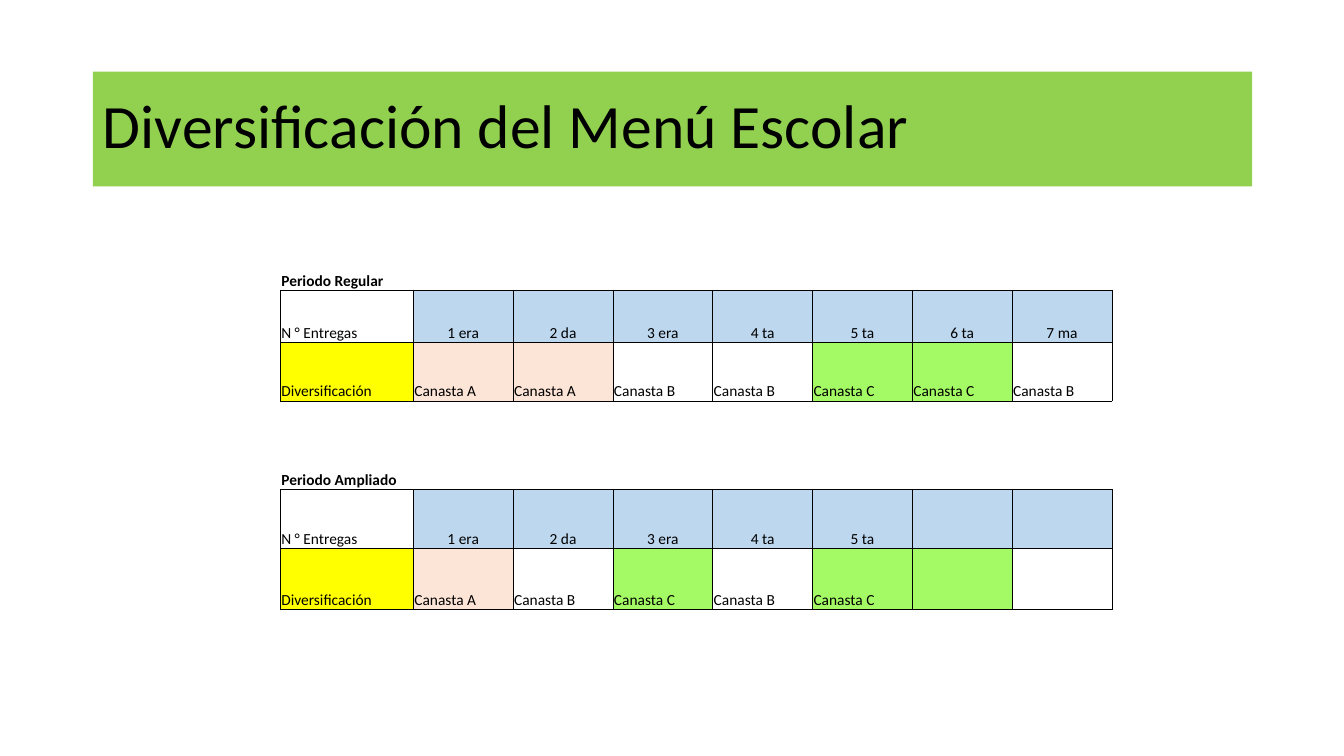
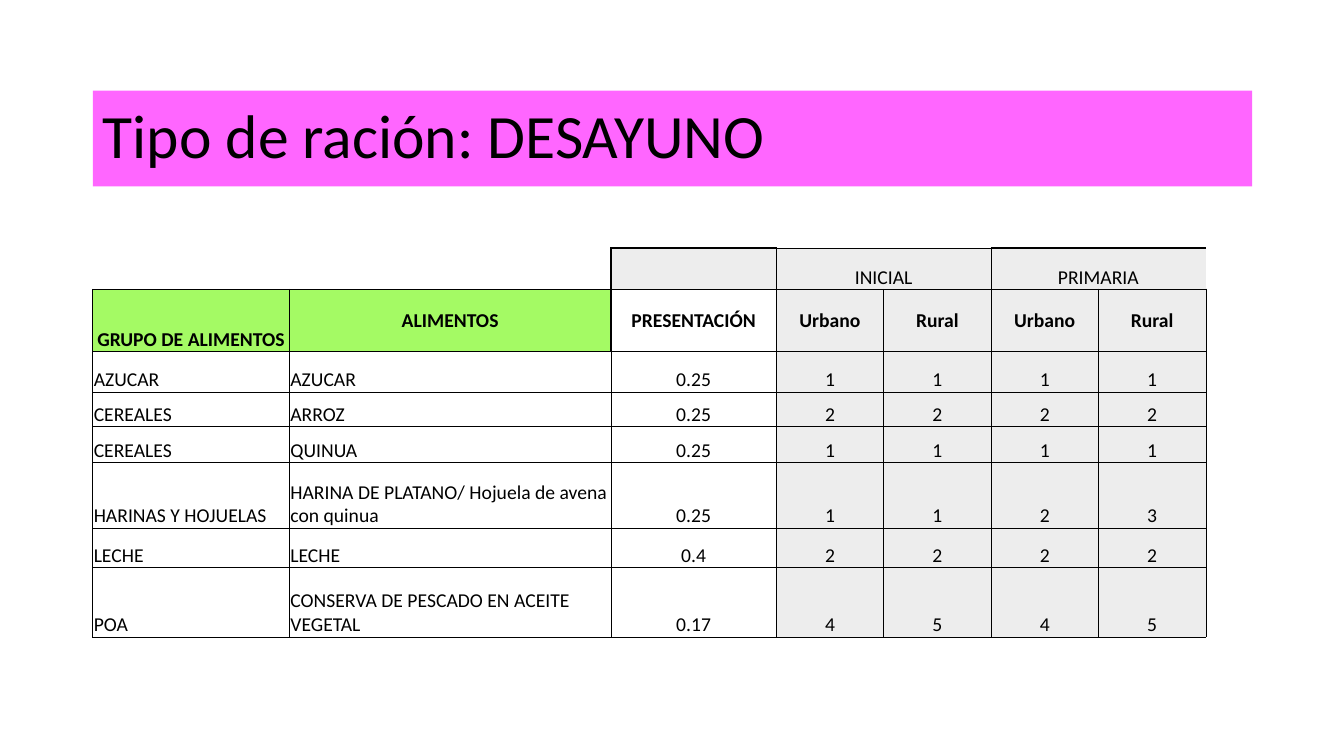
import pptx
import pptx.util
import pptx.dml.color
import pptx.enum.text
import lxml.etree

Inches, Pt = pptx.util.Inches, pptx.util.Pt
ALIGN = pptx.enum.text.PP_ALIGN
ANCHOR = pptx.enum.text.MSO_ANCHOR

COLOR = {
    "ink": "000000",
    "leaf": "92D050",
    "pink": "FF66FF",
    "sky": "BDD7EE",
    "sun": "FFFF00",
    "peach": "FCE4D6",
    "lime": "A4FA64",
    "gray": "EDEDED",
    "white": "FFFFFF",
}
FONT = "Calibri"
WIDE, HIGH = 13.33, 7.5
LEFT, SPAN, BASE = 0.92, 11.5, 1.85
BASKET = {"A": "peach", "B": None, "C": "lime"}
SIDES = {"L": (0, -1, "R"), "R": (0, 1, "L"), "T": (-1, 0, "B"), "B": (1, 0, "T")}
NS = "http://schemas.openxmlformats.org/drawingml/2006/main"


def rgb(name):
    return pptx.dml.color.RGBColor.from_string(COLOR[name])


def style(par, size, align=ALIGN.LEFT, bold=False):
    par.alignment = align
    par.font.name = FONT
    par.font.size = Pt(size)
    par.font.bold = bold
    par.font.color.rgb = rgb("ink")


def start(deck, text, fill, top):
    """Add a slide whose title band runs from top down to the shared base."""
    slide = deck.slides.add_slide(deck.slide_layouts[5])
    title = slide.shapes.title
    title.left, title.top = Inches(LEFT), Inches(top)
    title.width, title.height = Inches(SPAN), Inches(BASE - top)
    title.fill.solid()
    title.fill.fore_color.rgb = rgb(fill)
    frame = title.text_frame
    frame.text = text
    frame.auto_size = pptx.enum.text.MSO_AUTO_SIZE.NONE
    frame.vertical_anchor = ANCHOR.MIDDLE
    style(frame.paragraphs[0], 44)
    frame.paragraphs[0].line_spacing = 0.9
    return slide


def grid(slide, left, top, cols, rows):
    """Add a plain table with the given column widths and row heights."""
    table = slide.shapes.add_table(
        len(rows), len(cols), Inches(left), Inches(top),
        Inches(sum(cols)), Inches(sum(rows))).table
    table.first_row = table.horz_banding = False
    for col, width in zip(table.columns, cols):
        col.width = Inches(width)
    for row, height in zip(table.rows, rows):
        row.height = Inches(height)
    for row in table.rows:
        for cell in row.cells:
            put(cell, "", 11)
    return table


def put(cell, text, size, fill=None, align=ALIGN.LEFT, bold=False, anchor=ANCHOR.BOTTOM):
    cell.text = text
    style(cell.text_frame.paragraphs[0], size, align, bold)
    cell.vertical_anchor = anchor
    cell.margin_left = cell.margin_right = cell.margin_top = Inches(0.01)
    cell.margin_bottom = 0
    if fill:
        cell.fill.solid()
        cell.fill.fore_color.rgb = rgb(fill)
    else:
        cell.fill.background()


def rule(table, framed, special=None):
    """Draw thin lines round framed cells; special sets widths of single edges."""
    special = special or {}
    for r, row in enumerate(table.rows):
        for c, cell in enumerate(row.cells):
            props = cell._tc.get_or_add_tcPr()
            for i, (side, (down, over, back)) in enumerate(SIDES.items()):
                near = (r + down, c + over)
                thin = 0.5 if (r, c) in framed or near in framed else 0
                width = special.get((r, c, side), special.get((*near, back), thin))
                line = lxml.etree.Element(f"{{{NS}}}ln{side}", w=str(Pt(width)))
                if width:
                    fill = lxml.etree.SubElement(line, f"{{{NS}}}solidFill")
                    lxml.etree.SubElement(fill, f"{{{NS}}}srgbClr", val=COLOR["ink"])
                else:
                    lxml.etree.SubElement(line, f"{{{NS}}}noFill")
                props.insert(i, line)


def period(table, top, name, reach, plan, count):
    """Fill three rows: a heading, the deliveries and their baskets."""
    size = 11
    table.cell(top, 0).merge(table.cell(top, reach - 1))
    put(table.cell(top, 0), name, size, bold=True)
    put(table.cell(top + 1, 0), "N ° Entregas", size)
    put(table.cell(top + 2, 0), "Diversificación", size, "sun")
    turns = ["1 era", "2 da", "3 era", "4 ta", "5 ta", "6 ta", "7 ma"]
    for i, (turn, kind) in enumerate(zip(turns, plan)):
        used = i < count
        put(table.cell(top + 1, i + 1), turn if used else "", size, "sky", ALIGN.CENTER)
        put(table.cell(top + 2, i + 1), f"Canasta {kind}" if used else "", size, BASKET[kind])


def menu(deck):
    slide = start(deck, "Diversificación del Menú Escolar", "leaf", 0.71)
    cols = [1.32] + [0.99] * 7
    table = grid(slide, 2.78, 2.36, cols, [0.52, 0.52, 0.58, 0.42, 0.46, 0.58, 0.61])
    period(table, 0, "Periodo Regular", 4, "AABBCCB", 7)
    period(table, 4, "Periodo Ampliado", 6, "ABCBCCB", 5)
    rule(table, {(r, c) for r in (1, 2, 5, 6) for c in range(len(cols))})


def ration(deck):
    slide = start(deck, "Tipo de ración: DESAYUNO", "pink", 0.9)
    foods = [
        ("AZUCAR", "AZUCAR", "0.25", "1", "1", "1", "1"),
        ("CEREALES", "ARROZ", "0.25", "2", "2", "2", "2"),
        ("CEREALES", "QUINUA", "0.25", "1", "1", "1", "1"),
        ("HARINAS Y HOJUELAS", "HARINA DE PLATANO/ Hojuela de avena con quinua",
         "0.25", "1", "1", "2", "3"),
        ("LECHE", "LECHE", "0.4", "2", "2", "2", "2"),
        ("POA", "CONSERVA DE PESCADO EN ACEITE VEGETAL", "0.17", "4", "5", "4", "5"),
    ]
    heads = ["GRUPO DE ALIMENTOS", "ALIMENTOS", "PRESENTACIÓN"] + ["Urbano", "Rural"] * 2
    cols = [1.95, 3.19, 1.64] + [1.065] * 4
    table = grid(slide, LEFT, 2.46, cols, [0.41, 0.62, 0.4, 0.34, 0.36, 0.65, 0.39, 0.69])
    size = 14

    put(table.cell(0, 2), "", size, "gray")
    for c, level in ((3, "INICIAL"), (5, "PRIMARIA")):
        table.cell(0, c).merge(table.cell(0, c + 1))
        put(table.cell(0, c), level, size, "gray", ALIGN.CENTER)
    for c, head in enumerate(heads):
        fill = "lime" if c < 2 else "white" if c == 2 else "gray"
        anchor = ANCHOR.MIDDLE if c else ANCHOR.BOTTOM
        put(table.cell(1, c), head, size, fill, ALIGN.CENTER, True, anchor)
    for r, food in enumerate(foods, 2):
        for c, text in enumerate(food):
            align = ALIGN.LEFT if c < 2 else ALIGN.CENTER
            put(table.cell(r, c), text, size, "gray" if c > 2 else "white", align)

    framed = {(r, c) for r in range(len(foods) + 2) for c in range(len(cols)) if r or c > 1}
    edges = {(r, 2, "L"): 1 for r in (0, 1)}
    edges |= {(0, c, side): 1 for c in (2, 5, 6) for side in "TB"}
    edges |= {(1, c, "B"): 1 for c in range(2, len(cols))}
    edges |= {(0, c, "R"): 0 for c in (3, 5, 6)}
    rule(table, framed, edges)


def main():
    deck = pptx.Presentation()
    deck.slide_width, deck.slide_height = Inches(WIDE), Inches(HIGH)
    menu(deck)
    ration(deck)
    deck.save("out.pptx")


if __name__ == "__main__":
    main()
